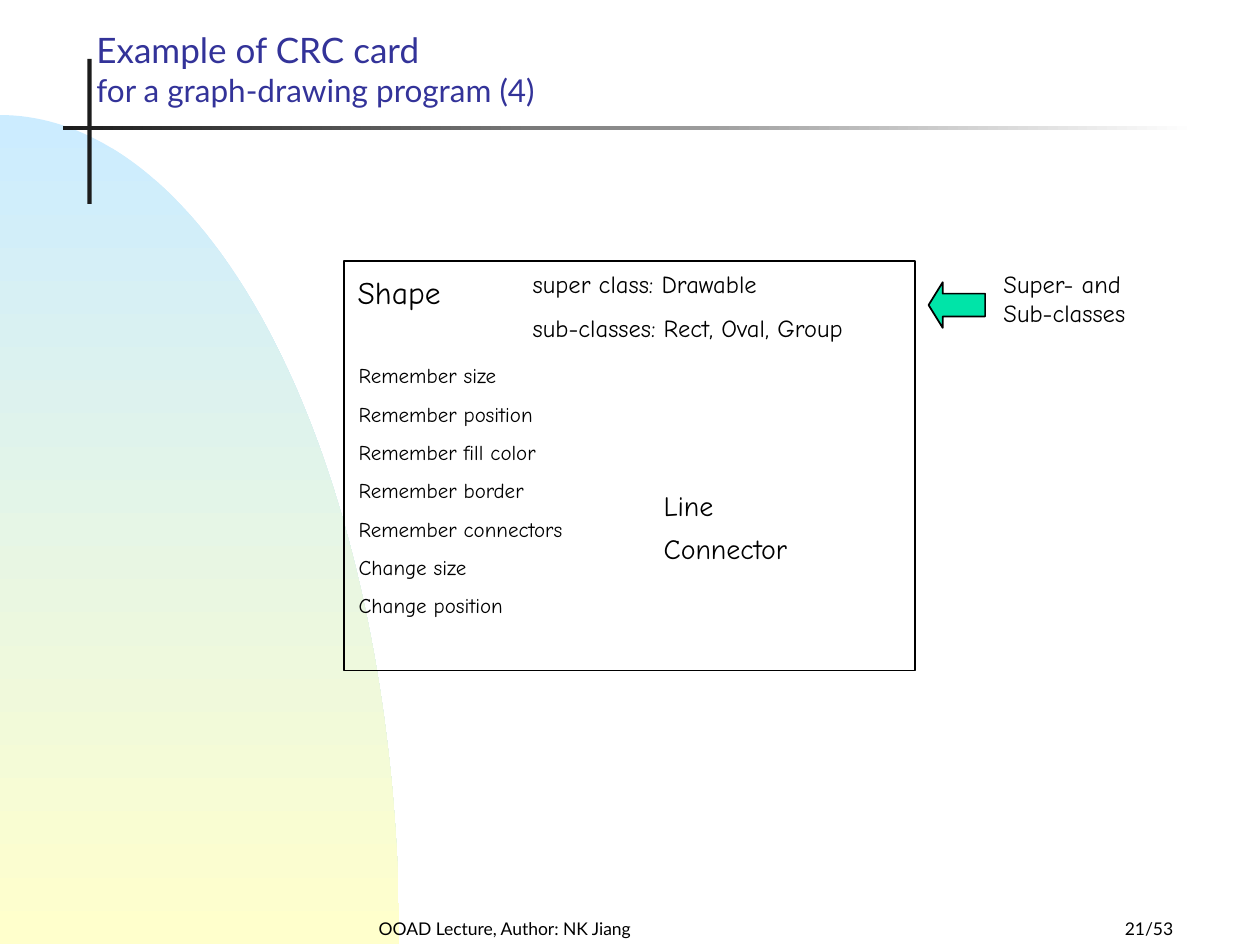
import math

from pptx import Presentation
from pptx import util as u
from pptx.dml.color import RGBColor
from pptx.enum import shapes, text

COLORS = {
    "ink": "000000",
    "bar": "1C1C1C",
    "paper": "FFFFFF",
    "title": "333399",
    "sky": "CCECFF",
    "sand": "FFFFCC",
    "arrow": "00E4A8",
}
ALIGN = text.PP_ALIGN
ANCHOR = text.MSO_ANCHOR
SHAPE = shapes.MSO_SHAPE


def color(name):
    return RGBColor.from_string(COLORS[name])


class CardSlide:
    """Holds the style and the slide; all lengths are centimetres."""

    plain_font = "Lato"
    card_font = "Comic Neue"

    def __init__(self, presentation):
        self.slide = presentation.slides.add_slide(presentation.slide_layouts[5])

    def style(self, shape, fill=None, line=None, angle=0):
        """Fill with nothing, one colour, or a gradient between two colours."""
        shape.shadow.inherit = False
        if fill is None:
            shape.fill.background()
        elif isinstance(fill, tuple):
            shape.fill.gradient()
            shape.fill.gradient_angle = angle
            for stop, name in zip(shape.fill.gradient_stops, fill):
                stop.color.rgb = color(name)
        else:
            shape.fill.solid()
            shape.fill.fore_color.rgb = color(fill)
        if line is None:
            shape.line.fill.background()
        else:
            shape.line.color.rgb = color(line)
            shape.line.width = u.Pt(1)

    def shape(self, kind, left, top, width, height, **look):
        shape = self.slide.shapes.add_shape(
            kind, u.Cm(left), u.Cm(top), u.Cm(width), u.Cm(height))
        self.style(shape, **look)
        return shape

    def quarter_ellipse(self, width, top, bottom, steps=90, **look):
        """Upper right quarter of an ellipse centred on the left slide edge."""
        angles = [math.pi / 2 * step / steps for step in range(steps + 1)]
        points = [(u.Cm(width * math.sin(a)),
                   u.Cm(bottom - (bottom - top) * math.cos(a))) for a in angles]
        builder = self.slide.shapes.build_freeform(0, u.Cm(bottom))
        builder.add_line_segments(points, close=True)
        self.style(builder.convert_to_shape(), **look)

    def format_text(self, frame, lines, font, size, ink="ink", before=0,
                    align=ALIGN.LEFT, anchor=ANCHOR.TOP):
        frame.text = "\n".join(lines)
        frame.auto_size = text.MSO_AUTO_SIZE.NONE
        frame.vertical_anchor = anchor
        for paragraph in frame.paragraphs:
            paragraph.alignment = align
            paragraph.space_before = u.Pt(before)
            paragraph.font.name = font
            paragraph.font.size = u.Pt(size)
            paragraph.font.color.rgb = color(ink)

    def text(self, left, top, width, height, lines, size, font=card_font,
             wrap=True, **look):
        box = self.slide.shapes.add_textbox(
            u.Cm(left), u.Cm(top), u.Cm(width), u.Cm(height))
        self.format_text(box.text_frame, lines, font, size, **look)
        box.text_frame.word_wrap = wrap

    def title(self, left, top, width, height, heading, subheading):
        title = self.slide.shapes.title
        title.left, title.top = u.Cm(left), u.Cm(top)
        title.width, title.height = u.Cm(width), u.Cm(height)
        self.format_text(title.text_frame, [f"{heading}\v{subheading}"],
                         self.plain_font, 20, ink="title", anchor=ANCHOR.BOTTOM)
        title.text_frame.paragraphs[0].runs[1].font.size = u.Pt(18)

    def footer(self, left, width, words, align):
        self.text(left, 18.2, width, 0.85, [words], 10, font=self.plain_font,
                  align=align, anchor=ANCHOR.BOTTOM)


def main():
    presentation = Presentation()
    presentation.slide_width, presentation.slide_height = u.Cm(25.4), u.Cm(19.05)
    card = CardSlide(presentation)

    # Background and title rules
    card.quarter_ellipse(8.05, 2.32, 19.03, fill=("sky", "sand"), angle=270)
    card.shape(SHAPE.RECTANGLE, 1.76, 1.19, 0.09, 2.92, fill="bar")
    card.shape(SHAPE.RECTANGLE, 1.27, 2.54, 22.86, 0.09, fill=("bar", "paper"))

    # Title and footer
    card.title(1.69, 0.42, 17.99, 1.9,
               "Example of CRC card", "for a graph-drawing program (4)")
    card.footer(6.15, 8.05, "OOAD Lecture, Author: NK Jiang", ALIGN.CENTER)
    card.footer(18.62, 5.28, "21/53", ALIGN.RIGHT)

    # Card with class name and relatives
    card.shape(SHAPE.RECTANGLE, 6.93, 5.26, 11.51, 8.26, line="ink")
    card.text(6.96, 5.38, 2.18, 1.02, ["Shape"], 18, wrap=False, before=11.2)
    card.text(10.49, 5.29, 6.78, 1.75,
              ["super class: Drawable", "sub-classes: Rect, Oval, Group"],
              14, wrap=False, before=8.8)

    # Responsibilities
    card.text(6.98, 7.19, 5.69, 5.41,
              ["Remember size", "Remember position", "Remember fill color",
               "Remember border", "Remember connectors",
               "Change size", "Change position"], 12, before=7.5)

    # Collaborators
    for row, collaborator in enumerate(["Line", "Connector"]):
        card.text(13.13, 9.73 + 0.86 * row, 5.08, 0.95, [collaborator], 16,
                  before=10)

    # Side note
    arrow = card.shape(SHAPE.LEFT_ARROW, 18.72, 5.69, 1.14, 0.92,
                       fill="arrow", line="ink")
    arrow.adjustments[1] = 0.31
    card.text(19.98, 5.29, 3.05, 1.45, ["Super- and", "Sub-classes"], 14,
              wrap=False)

    presentation.save("out.pptx")


if __name__ == "__main__":
    main()
